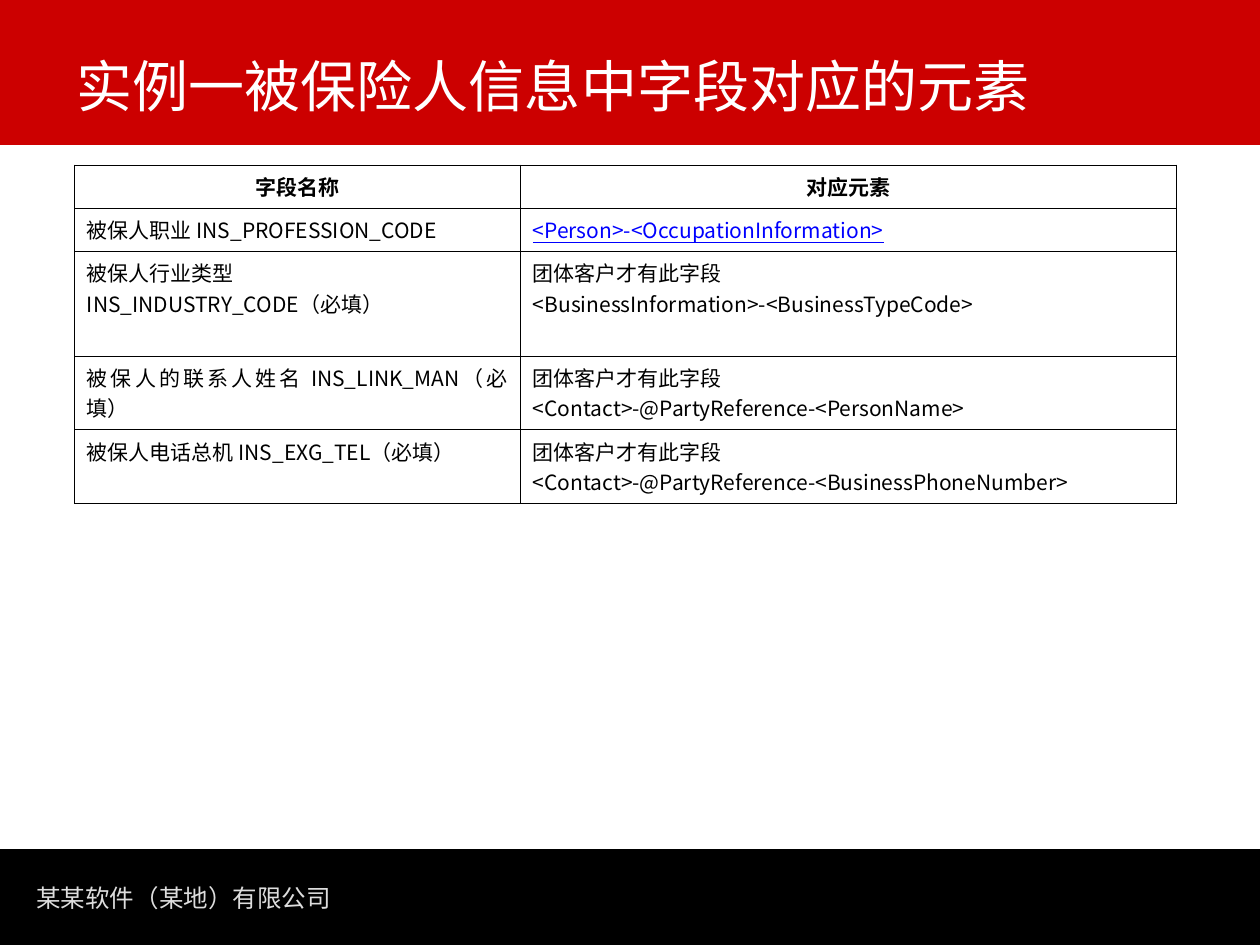
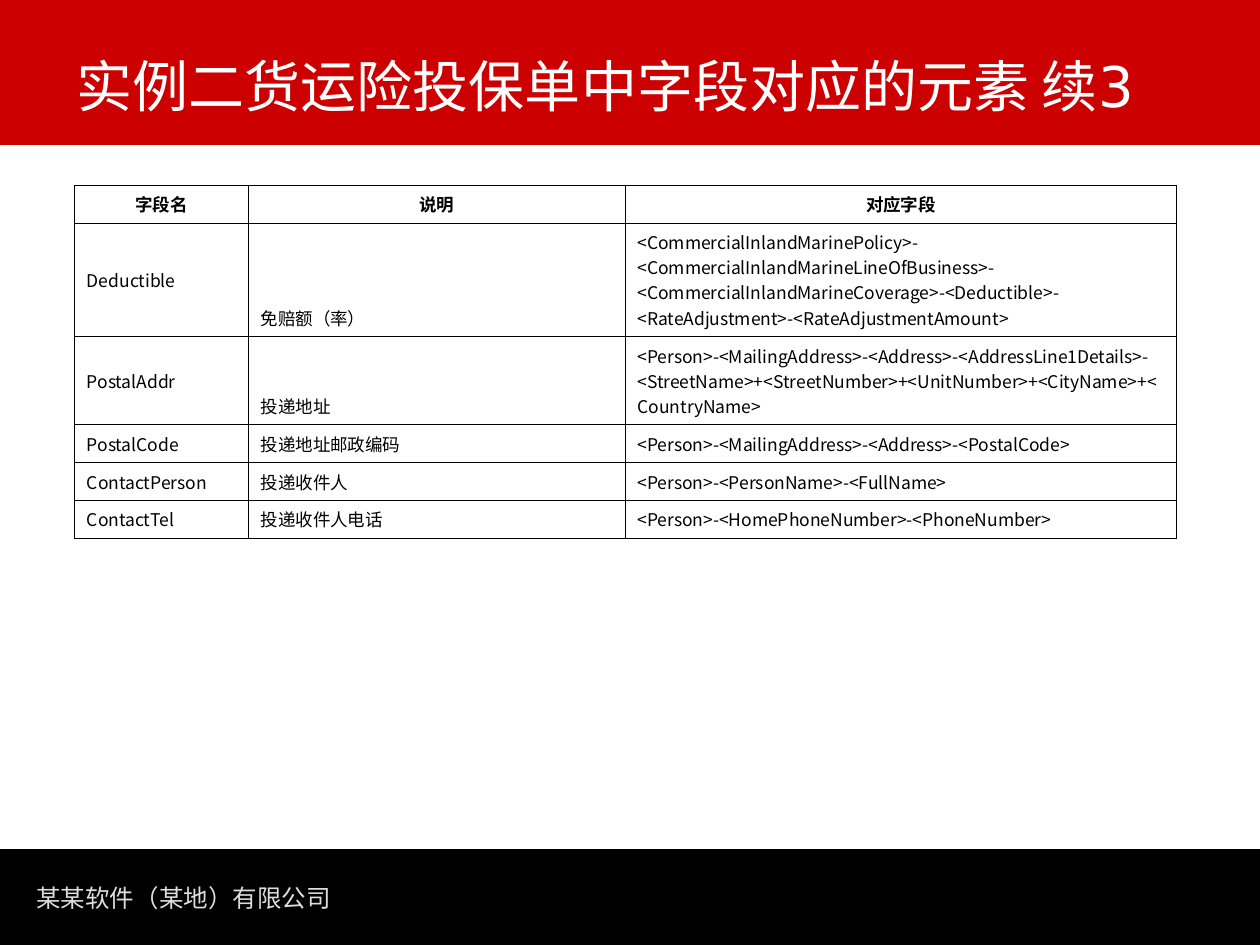
from dataclasses import dataclass

from lxml.etree import SubElement
from pptx import Presentation
from pptx.dml.color import RGBColor
from pptx.enum.shapes import MSO_SHAPE
from pptx.enum.text import MSO_ANCHOR, MSO_AUTO_SIZE, PP_ALIGN
from pptx.oxml.ns import qn
from pptx.util import Inches, Pt

WIDTH, HEIGHT = Inches(10), Inches(7.5)
RED, BLACK, WHITE, GREY, BLUE = "CC0000", "000000", "FFFFFF", "DDDDDD", "0000FF"
HEAD_FONT, CJK_FONT = "DejaVu Sans", "Noto Sans CJK SC"
COMPANY = "某某软件（某地）有限公司"
GROUP_ONLY = "团体客户才有此字段\n"
TABLE_LEFT, TABLE_WIDTH = 5.9, 87.5
BORDER = Pt(0.45)


@dataclass
class Band:
    top: float
    height: float
    color: str
    outlined: bool


@dataclass
class FieldTable:
    """Lengths are percent of the slide; columns are relative weights."""
    title: str
    top: float
    columns: list[float]
    row_heights: list[float]
    size: int
    head_anchor: MSO_ANCHOR
    anchors: list[MSO_ANCHOR]
    align: PP_ALIGN
    rows: list[list[str]]
    underlined: str = ""


BANDS = [Band(89.87, 10.13, BLACK, True), Band(0, 15.33, RED, False)]
TOP, MIDDLE, BOTTOM = MSO_ANCHOR.TOP, MSO_ANCHOR.MIDDLE, MSO_ANCHOR.BOTTOM

TABLES = [
    FieldTable(
        "实例一被保险人信息中字段对应的元素", 17.47, [3.54, 5.21],
        [4, 4, 11.07, 6.67, 6.67], 12, TOP, [TOP, TOP], PP_ALIGN.JUSTIFY,
        [["字段名称", "对应元素"],
         ["被保人职业 INS_PROFESSION_CODE", "<Person>-<OccupationInformation>"],
         ["被保人行业类型\nINS_INDUSTRY_CODE（必填）",
          GROUP_ONLY + "<BusinessInformation>-<BusinessTypeCode>"],
         ["被保人的联系人姓名 INS_LINK_MAN（必填）",
          GROUP_ONLY + "<Contact>-@PartyReference-<PersonName>"],
         ["被保人电话总机 INS_EXG_TEL（必填）",
          GROUP_ONLY + "<Contact>-@PartyReference-<BusinessPhoneNumber>"]],
        underlined="<Person>-<OccupationInformation>"),
    FieldTable(
        "实例二货运险投保单中字段对应的元素 续3", 19.6, [1.38, 2.99, 4.38],
        [3.6, 10.27, 8, 3.6, 3.6, 3.6], 10, BOTTOM, [MIDDLE, BOTTOM, BOTTOM],
        PP_ALIGN.LEFT,
        [["字段名", "说明", "对应字段"],
         ["Deductible", "免赔额（率）",
          "<CommercialInlandMarinePolicy>-<CommercialInlandMarineLineOfBusiness>-"
          "<CommercialInlandMarineCoverage>-<Deductible>-"
          "<RateAdjustment>-<RateAdjustmentAmount>"],
         ["PostalAddr", "投递地址",
          "<Person>-<MailingAddress>-<Address>-<AddressLine1Details>-"
          "<StreetName>+<StreetNumber>+<UnitNumber>+<CityName>+<CountryName>"],
         ["PostalCode", "投递地址邮政编码",
          "<Person>-<MailingAddress>-<Address>-<PostalCode>"],
         ["ContactPerson", "投递收件人", "<Person>-<PersonName>-<FullName>"],
         ["ContactTel", "投递收件人电话",
          "<Person>-<HomePhoneNumber>-<PhoneNumber>"]]),
]


def rgb(color: str) -> RGBColor:
    return RGBColor.from_string(color)


def across(percent: float) -> int:
    return round(WIDTH * percent / 100)


def down(percent: float) -> int:
    return round(HEIGHT * percent / 100)


def box(left: float, top: float, width: float, height: float) -> tuple:
    return across(left), down(top), across(width), down(height)


def write(tf, text: str, align: PP_ALIGN, color: str, size: int, name: str,
          **font) -> None:
    tf.text = text
    for p in tf.paragraphs:
        p.alignment = align
        for r in p.runs:
            for key, value in {"size": Pt(size), "name": name, **font}.items():
                setattr(r.font, key, value)
            r.font.color.rgb = rgb(color)
            east_asian = SubElement(r.font._element, qn("a:ea"))
            east_asian.set("typeface", CJK_FONT)


def add_frame(slide) -> None:
    """Put the bands and company name on the layout shared by all slides."""
    parts = []
    for band in BANDS:
        sp = slide.shapes.add_shape(MSO_SHAPE.RECTANGLE,
                                    *box(0, band.top, 100, band.height))
        sp.shadow.inherit = False
        sp.fill.solid()
        sp.fill.fore_color.rgb = rgb(band.color)
        if band.outlined:
            sp.line.color.rgb = rgb(band.color)
            sp.line.width = Pt(0.75)
        else:
            sp.line.fill.background()
        parts.append(sp)
    sp = slide.shapes.add_textbox(*box(1.9, 92.8, 25.4, 4.53))
    sp.text_frame.word_wrap = False
    sp.text_frame.auto_size = MSO_AUTO_SIZE.SHAPE_TO_FIT_TEXT
    write(sp.text_frame, COMPANY, PP_ALIGN.LEFT, GREY, 14, HEAD_FONT)
    for sp in [*parts, sp]:
        slide.slide_layout.shapes.element.append(sp.element)


def add_title(slide, text: str) -> None:
    title = slide.shapes.title
    title.left, title.top, title.width, title.height = box(5.1, 0.67, 92.1, 12.53)
    tf = title.text_frame
    for key, value in {"vertical_anchor": BOTTOM, "word_wrap": True,
                       "auto_size": MSO_AUTO_SIZE.NONE}.items():
        setattr(tf, key, value)
    write(tf, text, PP_ALIGN.LEFT, WHITE, 32, HEAD_FONT)


def set_borders(cell) -> None:
    tc_pr = cell._tc.get_or_add_tcPr()
    for side in ("lnL", "lnR", "lnT", "lnB"):
        line = SubElement(tc_pr, qn(f"a:{side}"), w=str(BORDER))
        fill = SubElement(line, qn("a:solidFill"))
        SubElement(fill, qn("a:srgbClr"), val=BLACK)


def add_field_table(slide, data: FieldTable) -> None:
    frame = slide.shapes.add_table(
        len(data.rows), len(data.columns),
        *box(TABLE_LEFT, data.top, TABLE_WIDTH, sum(data.row_heights)))
    table = frame.table
    table.first_row = table.horz_banding = False
    for column, weight in zip(table.columns, data.columns):
        column.width = across(TABLE_WIDTH * weight / sum(data.columns))
    for row, height in zip(table.rows, data.row_heights):
        row.height = down(height)
    for i, texts in enumerate(data.rows):
        head = i == 0
        for j, text in enumerate(texts):
            cell = table.cell(i, j)
            set_borders(cell)
            cell.fill.background()
            cell.vertical_anchor = data.head_anchor if head else data.anchors[j]
            marked = text == data.underlined
            write(cell.text_frame, text, PP_ALIGN.CENTER if head else data.align,
                  BLUE if marked else BLACK, data.size, CJK_FONT,
                  bold=head, underline=marked)


def main() -> None:
    prs = Presentation()
    prs.slide_width, prs.slide_height = WIDTH, HEIGHT
    title_only = prs.slide_layouts[5]
    for i, data in enumerate(TABLES):
        s = prs.slides.add_slide(title_only)
        if i == 0:
            add_frame(s)
        add_title(s, data.title)
        add_field_table(s, data)
    prs.save("out.pptx")


if __name__ == "__main__":
    main()
